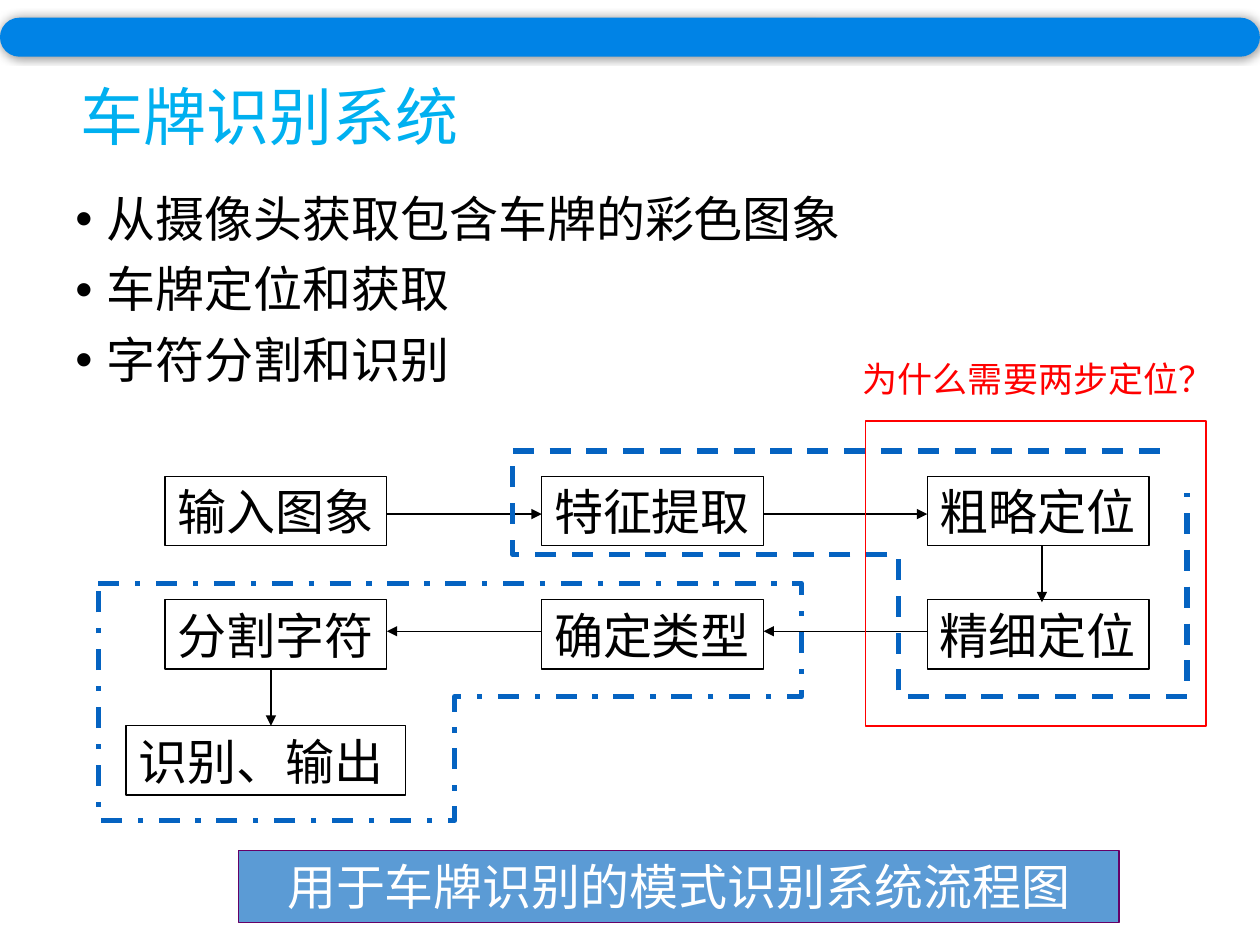
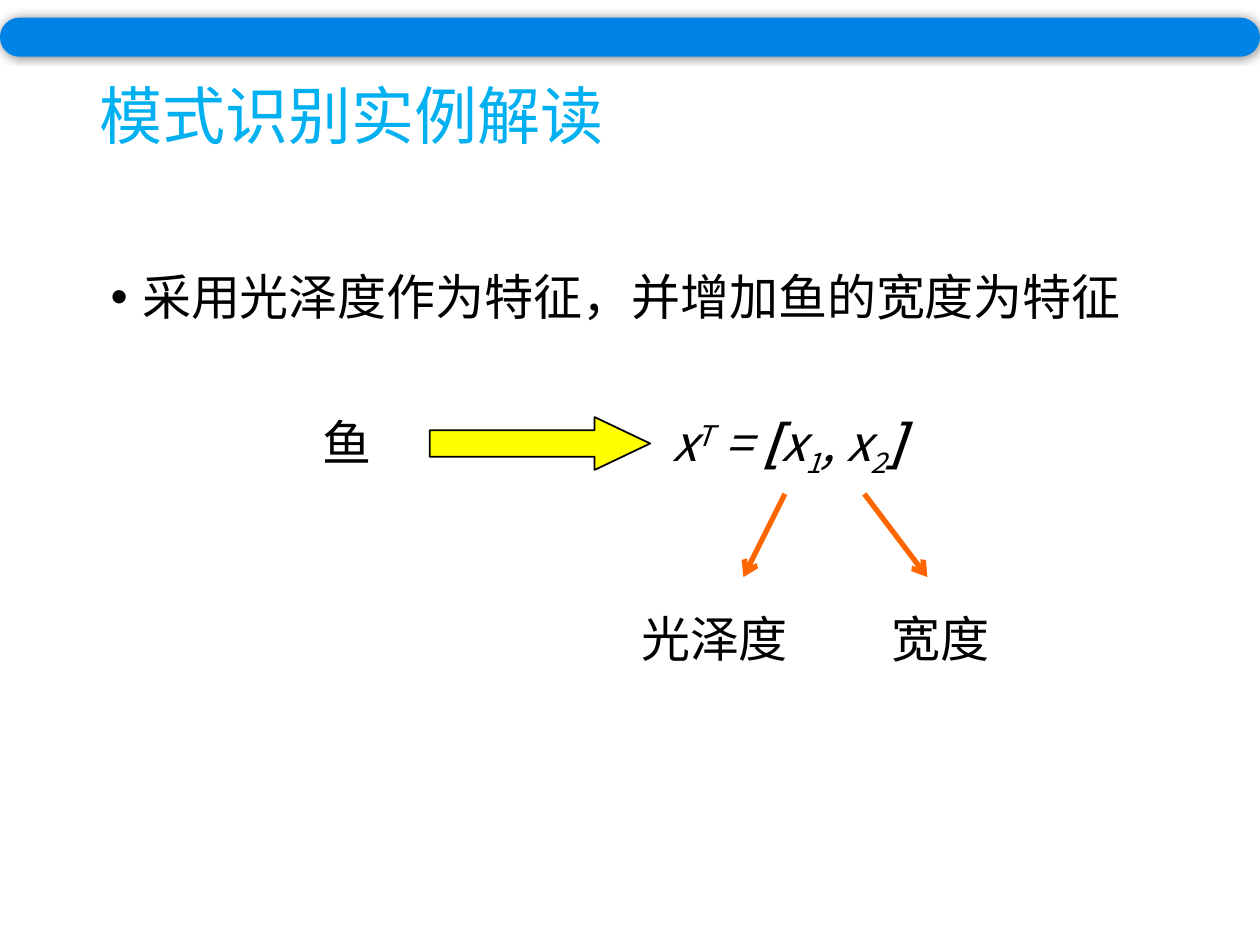
from lxml.etree import SubElement
from pptx import Presentation
from pptx.dml.color import RGBColor
from pptx.enum.dml import MSO_LINE as Dash
from pptx.enum.shapes import MSO_CONNECTOR as Connector, MSO_SHAPE as Shape
from pptx.enum.text import MSO_ANCHOR as Anchor, PP_ALIGN as Align
from pptx.oxml.ns import qn
from pptx.util import Inches, Pt

FONT = "Noto Sans CJK SC"
BLACK = RGBColor(0x00, 0x00, 0x00)
WHITE = RGBColor(0xFF, 0xFF, 0xFF)
RED = RGBColor(0xFF, 0x00, 0x00)
YELLOW = RGBColor(0xFF, 0xFF, 0x00)
ORANGE = RGBColor(0xFF, 0x66, 0x00)
PURPLE = RGBColor(0x66, 0x00, 0x66)
TITLE_BLUE = RGBColor(0x00, 0xB0, 0xF0)
BAND_BLUE = RGBColor(0x00, 0x83, 0xE6)
CAPTION_BLUE = RGBColor(0x5B, 0x9B, 0xD5)
STAGE_BLUE = RGBColor(0x05, 0x63, 0xC1)


class Pages:
    """Holds the deck style and the slide being drawn."""

    def __init__(self):
        self.deck = Presentation()
        self.deck.slide_width, self.deck.slide_height = Inches(10), Inches(7.5)
        self.page = None

    def new_page(self, title, left, top, width, height):
        self.page = self.deck.slides.add_slide(self.deck.slide_layouts[5])
        box = self.page.shapes.title
        box.left, box.top = Inches(left), Inches(top)
        box.width, box.height = Inches(width), Inches(height)
        box.text_frame.text = title
        box.text_frame.vertical_anchor = Anchor.MIDDLE
        para = box.text_frame.paragraphs[0]
        para.alignment, para.line_spacing = Align.LEFT, 0.9
        self.format_span(para.runs[0], 36, TITLE_BLUE)

    def format_span(self, span, size, color):
        span.font.size, span.font.name = Pt(size), FONT
        span.font.color.rgb = color
        SubElement(span._r.get_or_add_rPr(), qn("a:ea"), typeface=FONT)

    def shape(self, kind, left, top, width, height, fill=None, line=None, weight=1.0):
        shape = self.page.shapes.add_shape(
            kind, Inches(left), Inches(top), Inches(width), Inches(height))
        self.outline(shape, fill, line, weight)
        return shape

    def outline(self, shape, fill, line, weight):
        shape.shadow.inherit = False
        if fill is None:
            shape.fill.background()
        else:
            shape.fill.solid()
            shape.fill.fore_color.rgb = fill
        if line is None:
            shape.line.fill.background()
        else:
            shape.line.color.rgb, shape.line.width = line, Pt(weight)

    def band(self):
        band = self.shape(Shape.ROUNDED_RECTANGLE, 0, 0.14, 10, 0.31, BAND_BLUE)
        band.adjustments[0] = 0.5
        effects = band._element.spPr.find(qn("a:effectLst"))
        shadow = SubElement(effects, qn("a:outerShdw"), blurRad=str(Pt(5)),
                            dist="0", dir="0", algn="ctr", rotWithShape="0")
        tint = SubElement(shadow, qn("a:srgbClr"), val="000000")
        SubElement(tint, qn("a:alpha"), val="40000")

    def label_shape(self, text, left, top, width, height, color=BLACK, fill=None,
                    line=BLACK, align=Align.LEFT):
        box = self.shape(Shape.RECTANGLE, left, top, width, height, fill, line, 0.75)
        self.fill_text(box.text_frame, [text], 28, color, False)
        box.text_frame.vertical_anchor = Anchor.MIDDLE
        box.text_frame.paragraphs[0].alignment = align

    def text(self, lines, left, top, width, height, size=28, color=BLACK, wrap=True):
        box = self.page.shapes.add_textbox(
            Inches(left), Inches(top), Inches(width), Inches(height))
        self.fill_text(box.text_frame, lines, size, color, wrap)
        return box.text_frame

    def fill_text(self, frame, lines, size, color, wrap):
        frame.word_wrap = wrap
        frame.text = "\n".join(lines)
        for para in frame.paragraphs:
            para.alignment = Align.LEFT
            for span in para.runs:
                self.format_span(span, size, color)

    def bullets(self, lines, left, top, width, height):
        frame = self.text(lines, left, top, width, height)
        for number, para in enumerate(frame.paragraphs):
            props = para._p.get_or_add_pPr()
            props.set("marL", str(Inches(0.25)))
            props.set("indent", str(-Inches(0.25)))
            SubElement(props, qn("a:buFont"), typeface="Arial")
            SubElement(props, qn("a:buChar"), char="•")
            para.line_spacing = 0.9
            if number:
                para.space_before = Pt(10)

    def formula(self, pieces, tab, left, top, width, height):
        """Each piece is text, italic, bold and baseline shift in percent."""
        frame = self.text([""], left, top, width, height)
        para = frame.paragraphs[0]
        props = para._p.get_or_add_pPr()
        tabs = SubElement(props, qn("a:tabLst"))
        SubElement(tabs, qn("a:tab"), pos=str(Inches(tab)), algn="l")
        para.line_spacing = 0.9
        for text, italic, bold, shift in pieces:
            span = para.add_run()
            span.text = text
            self.format_span(span, 28, BLACK)
            span.font.italic, span.font.bold = italic, bold
            if shift:
                span._r.get_or_add_rPr().set("baseline", str(shift * 1000))

    def arrow(self, start, end, color=BLACK, weight=0.75, head="triangle"):
        ends = [Inches(value) for value in (*start, *end)]
        arrow = self.page.shapes.add_connector(Connector.STRAIGHT, *ends)
        arrow.line.color.rgb, arrow.line.width = color, Pt(weight)
        SubElement(arrow.line._get_or_add_ln(), qn("a:tailEnd"), type=head)
        SubElement(arrow._element.spPr, qn("a:effectLst"))

    def stage_outline(self, points, dash):
        corners = [(Inches(x), Inches(y)) for x, y in points]
        builder = self.page.shapes.build_freeform(*corners[0])
        builder.add_line_segments(corners[1:], close=True)
        outline = builder.convert_to_shape()
        self.outline(outline, None, STAGE_BLUE, 3)
        outline.line.dash_style = dash


def plate_page(pages):
    pages.new_page("车牌识别系统", 0.54, 0.2, 6.33, 1.5)
    pages.bullets(["从摄像头获取包含车牌的彩色图象", "车牌定位和获取", "字符分割和识别"],
                  0.5, 1.5, 7.64, 2.1)

    # Flow steps
    columns, step_width, step_height = (1.31, 4.3, 7.36), 1.76, 0.55
    rows = {3.78: ("输入图象", "特征提取", "粗略定位"),
            4.76: ("分割字符", "确定类型", "精细定位")}
    for top, steps in rows.items():
        for left, step in zip(columns, steps):
            pages.label_shape(step, left, top, step_width, step_height)
    pages.label_shape("识别、输出", 1, 5.76, 2.22, step_height)

    # Flow arrows: right along the first row, back along the second
    for left, right in zip(columns, columns[1:]):
        pages.arrow((left + step_width, 4.08), (right, 4.08))
        pages.arrow((right, 5.01), (left + step_width, 5.01))
    pages.arrow((8.27, 4.33), (8.27, 4.78))
    pages.arrow((2.15, 5.31), (2.15, 5.76))

    # Stage outlines, with the open corner at the upper right
    pages.stage_outline([(4.07, 3.58), (9.42, 3.58), (9.42, 5.53), (7.13, 5.53),
                         (7.13, 4.4), (4.07, 4.4)], Dash.DASH)
    pages.stage_outline([(0.78, 4.63), (6.36, 4.63), (6.36, 5.53), (3.61, 5.53),
                         (3.61, 6.51), (0.78, 6.51)], Dash.DASH_DOT)
    pages.shape(Shape.RECTANGLE, 9.26, 0, 0.51, 3.91, WHITE, WHITE)
    pages.band()

    # Caption and question
    pages.label_shape("用于车牌识别的模式识别系统流程图", 1.89, 6.75, 6.99, 0.57,
                      WHITE, CAPTION_BLUE, PURPLE, Align.CENTER)
    pages.shape(Shape.RECTANGLE, 6.87, 3.34, 2.7, 2.42, line=RED)
    pages.text(["为什么需要两步定位？"], 6.75, 2.79, 3.2, 0.44, 20, RED)


def fish_page(pages):
    pages.new_page("模式识别实例解读", 0.69, 0.45, 8.62, 0.99)
    pages.band()
    pages.bullets(["采用光泽度作为特征，并增加鱼的宽度为特征"], 0.78, 2.12, 8.67, 0.6)

    # Feature vector
    pages.formula([("鱼\t", False, False, 0), ("x", True, False, 0),
                   ("T", True, False, 30), (" = ", True, False, 0),
                   ("[", True, True, 0), ("x", True, False, 0),
                   ("1", True, False, -25), (", x", True, False, 0),
                   ("2", True, False, -25), ("]", True, True, 0)],
                  2.78, 2.46, 3.23, 5.5, 0.6)
    pointer = pages.shape(Shape.RIGHT_ARROW, 3.41, 3.31, 1.75, 0.42, YELLOW, BLACK)
    pointer.adjustments[0], pointer.adjustments[1] = 0.5, 1.05

    # Feature names
    for name, left, width, start, end in (("光泽度", 4.99, 1.37, 6.23, 5.9),
                                          ("宽度", 6.98, 0.98, 6.86, 7.36)):
        pages.text([name], left, 4.78, width, 0.52, wrap=False)
        pages.arrow((start, 3.92), (end, 4.58), ORANGE, 3, "arrow")


def main():
    pages = Pages()
    plate_page(pages)
    fish_page(pages)
    pages.deck.save("out.pptx")


if __name__ == "__main__":
    main()
